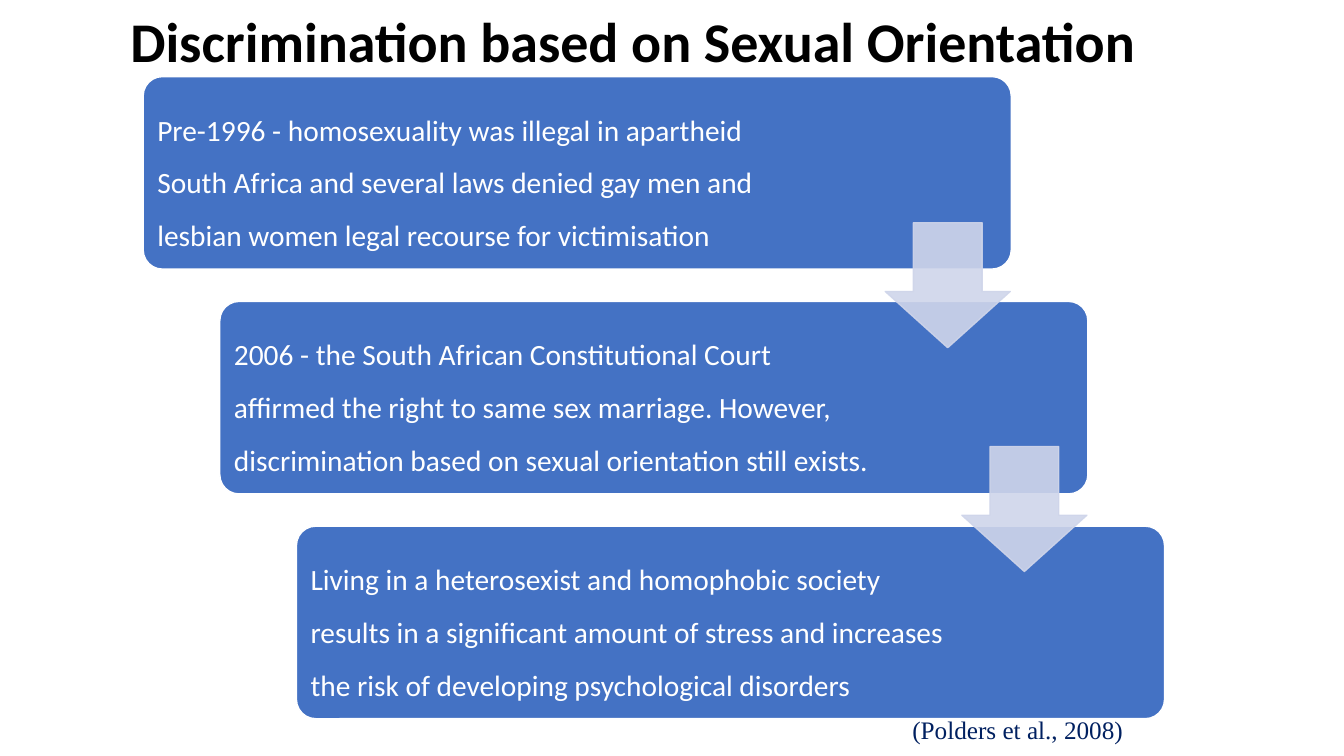
"""Build a slide of three stepped boxes on discrimination based on sexual orientation."""
from lxml import etree
from pptx import Presentation
from pptx.dml.color import RGBColor
from pptx.enum.shapes import MSO_SHAPE as SHAPE
from pptx.enum.text import MSO_ANCHOR as ANCHOR, PP_ALIGN as ALIGN
from pptx.oxml.ns import qn
from pptx.util import Inches, Pt


def rgb(color):
    return RGBColor.from_string(color)


def add_text(s, box, text, size, color, font="Calibri", bold=False, wrap=True, frame={}, para={}):
    tf = s.shapes.add_textbox(*map(Inches, box)).text_frame
    tf.word_wrap = wrap
    for name, value in frame.items():
        setattr(tf, name, value)
    p = tf.paragraphs[0]
    for name, value in para.items():
        setattr(p, name, value)
    r = p.add_run()
    r.text = text
    for name, value in {"size": Pt(size), "name": font, "bold": bold}.items():
        setattr(r.font, name, value)
    r.font.color.rgb = rgb(color)


prs = Presentation()
prs.slide_width, prs.slide_height = Inches(13.33), Inches(7.5)
s = prs.slides.add_slide(prs.slide_layouts[6])

add_text(s, (0.63, -0.04, 11.29, 0.83), "Discrimination based on Sexual Orientation", 40, "000000",
         bold=True, frame={"vertical_anchor": ANCHOR.BOTTOM},
         para={"alignment": ALIGN.CENTER, "line_spacing": 0.9})
add_text(s, (8.95, 7.04, 2.31, 0.4), "(Polders et al., 2008)", 18, "002060", "Times New Roman",
         wrap=False)

steps = [
    ("Pre-1996 - homosexuality was illegal in apartheid South Africa and several laws denied "
     "gay men and lesbian women legal recourse for victimisation", 6.54),
    ("2006 - the South African Constitutional Court affirmed the right to same sex marriage. "
     "However, discrimination based on sexual orientation still exists.", 6.49),
    ("Living in a heterosexist and homophobic society results in a significant amount of "
     "stress and increases the risk of developing psychological disorders", 6.49),
]
step_x, step_y = 0.76, 2.23
margins = {f"margin_{side}": Inches(0.09) for side in ("left", "top", "right", "bottom")}

for i, (text, text_width) in enumerate(steps):
    x, y = 1.42 + i * step_x, 0.76 + i * step_y
    sp = s.shapes.add_shape(SHAPE.ROUNDED_RECTANGLE, *map(Inches, (x, y, 8.61, 1.91)))
    sp.adjustments[0] = 0.1
    sp.shadow.inherit = False
    sp.fill.solid()
    sp.fill.fore_color.rgb = rgb("4472C4")
    sp.line.color.rgb = rgb("FFFFFF")
    sp.line.width = Pt(1)
    add_text(s, (x + 0.05, y + 0.06, text_width, 1.8), text, 21, "FFFFFF",
             frame={"vertical_anchor": ANCHOR.MIDDLE, **margins},
             para={"line_spacing": 1.5, "space_after": Pt(7)})

for i in range(len(steps) - 1):
    box = (8.78 + i * step_x, 2.21 + i * 2.22, 1.24, 1.24)
    arrow = s.shapes.add_shape(SHAPE.DOWN_ARROW, *map(Inches, box))
    arrow.adjustments[0], arrow.adjustments[1] = 0.55, 0.45
    arrow.shadow.inherit = False
    arrow.line.width = Pt(1)
    for fill in (arrow.fill, arrow.line.fill):
        fill.solid()
        fill.fore_color.rgb = rgb("CFD5EA")
    for color in arrow.element.spPr.iter(qn("a:srgbClr")):
        etree.SubElement(color, qn("a:alpha"), val="90000")

prs.save("out.pptx")
